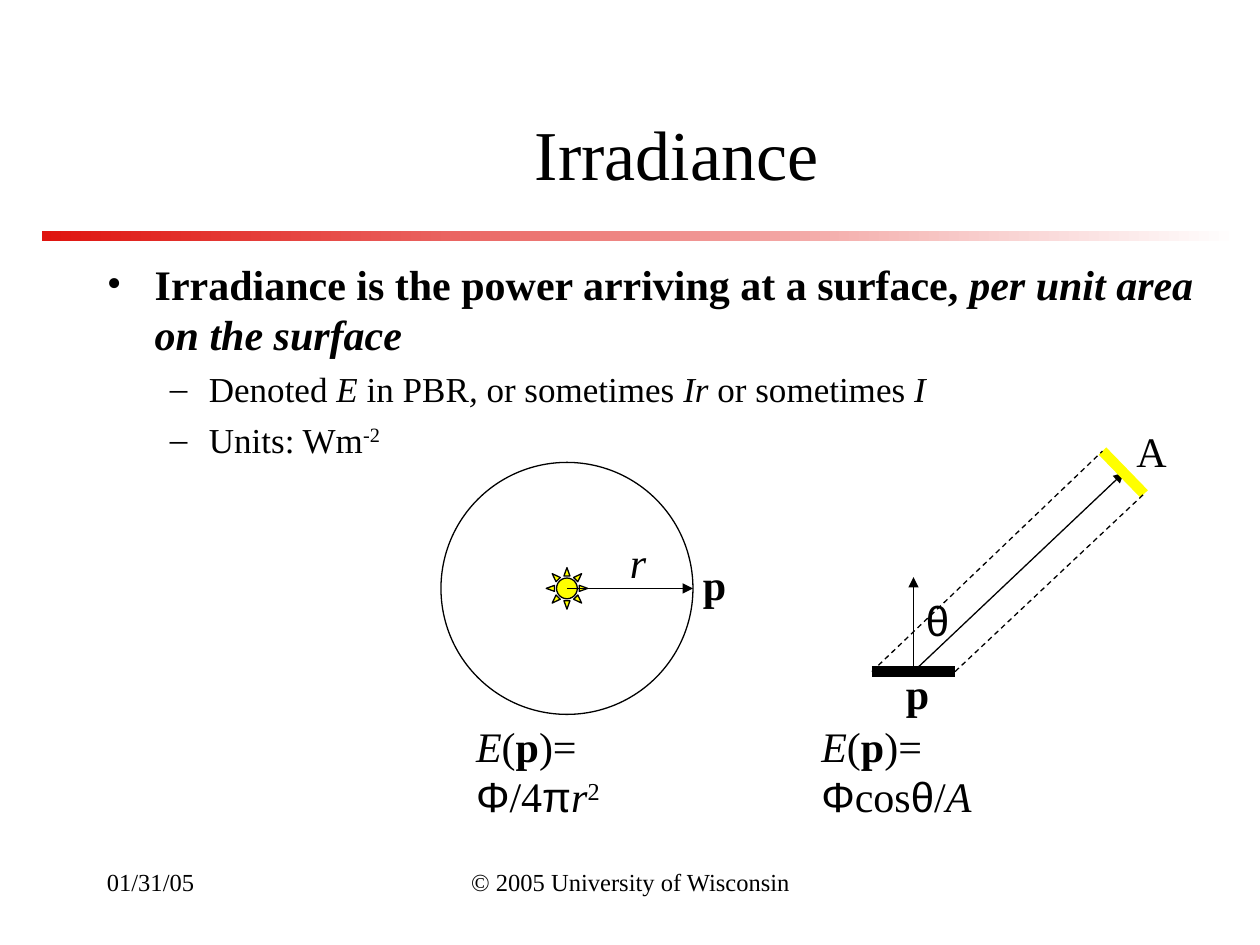
from lxml.etree import SubElement
from pptx import Presentation
from pptx.dml.color import RGBColor
from pptx.enum.dml import MSO_LINE
from pptx.enum.shapes import MSO_CONNECTOR, MSO_SHAPE
from pptx.enum.text import MSO_ANCHOR, PP_ALIGN
from pptx.oxml.ns import qn
from pptx.util import Inches, Pt

COLORS = {"ink": "000000", "light": "FFFF00", "rule": "DF140F", "paper": "FFFFFF"}
SERIF, GREEK = "Times New Roman", "Arial"
LABEL_H = 0.5
IRRADIANCE_OF_P = [("E", "i"), ("(", ""), ("p", "b"), (")= ", "")]


def color(name):
    return RGBColor.from_string(COLORS[name])


def add_runs(p, runs, size):
    """Style letters: b bold, i italic, g Greek font, ^ superscript."""
    for text, style in runs:
        r = p.add_run()
        r.text = text
        fmt = {"name": GREEK if "g" in style else SERIF, "size": Pt(size),
               "bold": "b" in style, "italic": "i" in style}
        for key, value in fmt.items():
            setattr(r.font, key, value)
        r.font.color.rgb = color("ink")
        if "^" in style:
            r.font._element.set("baseline", "30000")


def add_text(s, box, runs, size=24, wrap=False, align=PP_ALIGN.LEFT):
    tf = s.shapes.add_textbox(*map(Inches, box)).text_frame
    tf.word_wrap = wrap
    tf.paragraphs[0].alignment = align
    add_runs(tf.paragraphs[0], runs, size)


def add_line(s, start, end, ink="ink", width=0.75, arrow=False, dash=False):
    line = s.shapes.add_connector(MSO_CONNECTOR.STRAIGHT,
                                  *map(Inches, (*start, *end)))
    line.line.color.rgb = color(ink)
    line.line.width = Pt(width)
    if dash:
        line.line.dash_style = MSO_LINE.DASH
    if arrow:
        SubElement(line.line._get_or_add_ln(), qn("a:tailEnd"), type="triangle")
    SubElement(line._element.spPr, qn("a:effectLst"))


def add_outline(s, kind, box, fill=None):
    sp = s.shapes.add_shape(kind, *map(Inches, box))
    sp.shadow.inherit = False
    if fill:
        sp.fill.solid()
        sp.fill.fore_color.rgb = color(fill)
    else:
        sp.fill.background()
    sp.line.color.rgb = color("ink")
    sp.line.width = Pt(0.75)


def add_header(s, title_box, rule_box):
    # Fading rule under the title
    rule = s.shapes.add_shape(MSO_SHAPE.RECTANGLE, *map(Inches, rule_box))
    rule.shadow.inherit = False
    rule.line.fill.background()
    rule.fill.gradient()
    rule.fill.gradient_angle = 0
    for stop, name, position in zip(rule.fill.gradient_stops, ("rule", "paper"), (0, 1)):
        stop.color.rgb = color(name)
        stop.position = position

    # Title
    title = s.shapes.title
    for key, value in zip(("left", "top", "width", "height"), title_box):
        setattr(title, key, Inches(value))
    tf = title.text_frame
    tf.vertical_anchor = MSO_ANCHOR.MIDDLE
    tf.paragraphs[0].alignment = PP_ALIGN.CENTER
    add_runs(tf.paragraphs[0], [("Irradiance", "")], 40)


def add_body(s, box):
    levels = [  # bullet, size, margin, hanging indent, space before
        ("•", 24, 0.38, -0.38, 6),
        ("–", 20, 0.81, -0.31, 5),
    ]
    items = [
        (0, [("Irradiance is the power arriving at a surface, ", "b"),
             ("per unit area on the surface", "bi")]),
        (1, [("Denoted ", ""), ("E ", "i"), ("in PBR", ""), (", ", "i"),
             ("or sometimes", ""), (" Ir ", "i"), ("or sometimes", ""), (" I", "i")]),
        (1, [("Units: Wm", ""), ("-2", "^")]),
    ]
    tf = s.shapes.add_textbox(*map(Inches, box)).text_frame
    tf.word_wrap = True
    for n, (level, runs) in enumerate(items):
        p = tf.add_paragraph() if n else tf.paragraphs[0]
        bullet, size, margin, indent, before = levels[level]
        p.level = level
        p.space_before = Pt(before)
        pPr = p._p.get_or_add_pPr()
        pPr.set("marL", str(Inches(margin)))
        pPr.set("indent", str(Inches(indent)))
        SubElement(pPr, qn("a:buFont"), typeface=SERIF)
        SubElement(pPr, qn("a:buChar"), char=bullet)
        add_runs(p, runs, size)


def add_point_source(s, box):
    """Light at the centre of a sphere, with p on its surface."""
    x, y, w, h = box
    cx, cy, sun = x + w / 2, y + h / 2, 0.33
    add_outline(s, MSO_SHAPE.SUN, (cx - sun / 2, cy - sun / 2, sun, sun), "light")
    add_outline(s, MSO_SHAPE.OVAL, box)
    add_line(s, (cx, cy), (x + w, cy), arrow=True)
    add_text(s, (cx + 0.4, cy - 0.46, 0.33, LABEL_H), [("r", "i")])
    add_text(s, (x + w - 0.02, cy - 0.29, 0.38, LABEL_H), [("p", "b")])
    add_text(s, (x + 0.18, y + h, 2, LABEL_H),
             IRRADIANCE_OF_P + [("Φ", "g"), ("/4", ""), ("π", "g"), ("r", "i"), ("2", "^")],
             wrap=True)


def add_area_source(s, box):
    """Tilted light of area A shining on a flat patch at p."""
    x, y, w, h = box
    base = y + h
    patch = (x, base), (x + 0.66, base)
    light = (x + w - 0.33, y), (x + w, y + 0.34)
    p_at = (x + 0.33, base)
    add_line(s, *patch, width=6)
    add_line(s, p_at, (x + 2, y + 0.17), arrow=True)
    add_line(s, p_at, (p_at[0], base - 0.75), arrow=True)
    add_text(s, (p_at[0], base - 0.66, 0.37, LABEL_H), [("θ", "g")])
    add_line(s, *light, ink="light", width=6)
    add_text(s, (x + 2, y - 0.25, 0.44, LABEL_H), [("A", "")])
    for start, end in zip(patch, light):
        add_line(s, start, end, dash=True)
    add_text(s, (x - 0.5, base + 0.34, 2.25, LABEL_H),
             IRRADIANCE_OF_P + [("Φ", "g"), ("cos", ""), ("θ", "g"), ("/", ""), ("A", "i")],
             wrap=True)
    add_text(s, (x + 0.17, base - 0.08, 0.38, LABEL_H), [("p", "b")])


def add_footer(s, top):
    add_text(s, (0.75, top, 2.08, 0.5), [("01/31/05", "")], 14, True)
    add_text(s, (3.42, top, 3.17, 0.5), [("© 2005 University of Wisconsin", "")],
             14, True, PP_ALIGN.CENTER)


def main():
    prs = Presentation()
    prs.slide_width, prs.slide_height = Inches(10), Inches(7.5)
    s = prs.slides.add_slide(prs.slide_layouts[5])
    add_header(s, (1.33, 0.67, 8.08, 1.08), (0.33, 1.83, 9.5, 0.08))
    add_footer(s, 6.83)
    add_body(s, (0.75, 2, 8.83, 1.75))
    add_point_source(s, (3.5, 3.67, 2, 2))
    add_area_source(s, (6.92, 3.58, 2.16, 1.75))
    prs.save("out.pptx")


if __name__ == "__main__":
    main()
